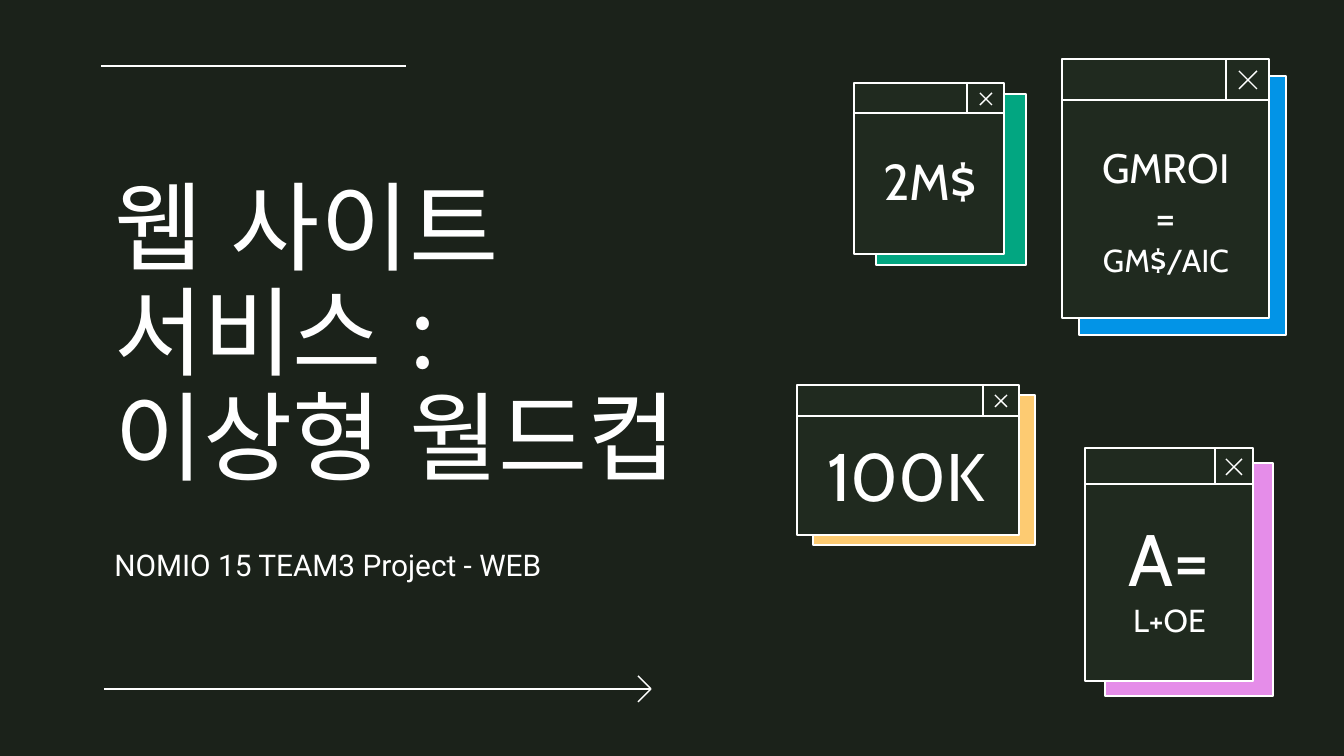
import lxml.etree
import pptx
import pptx.dml.color
import pptx.enum.lang
import pptx.enum.shapes
import pptx.enum.text
import pptx.oxml.ns
import pptx.util

PX = 914400 / 134.4  # EMU in one px
COLORS = {
    "background": "1B221A",
    "window": "202A1F",
    "white": "FFFFFF",
    "green": "02A681",
    "blue": "0294E7",
    "pink": "E58DE9",
    "yellow": "FDCB72",
}
qn = pptx.oxml.ns.qn
PP_ALIGN = pptx.enum.text.PP_ALIGN


def px(n):
    return pptx.util.Emu(round(n * PX))


def rgb(name):
    return pptx.dml.color.RGBColor.from_string(COLORS[name])


def add_line(s, x1, y1, x2, y2):
    line = s.shapes.add_connector(
        pptx.enum.shapes.MSO_CONNECTOR.STRAIGHT, px(x1), px(y1), px(x2), px(y2))
    line.line.color.rgb = rgb("white")
    line.line.width = pptx.util.Pt(0.75)
    lxml.etree.SubElement(line._element.spPr, qn("a:effectLst"))


def add_rect(s, x, y, w, h, color):
    sp = s.shapes.add_shape(
        pptx.enum.shapes.MSO_SHAPE.RECTANGLE, px(x), px(y), px(w), px(h))
    sp.shadow.inherit = False
    sp.fill.solid()
    sp.fill.fore_color.rgb = rgb(color)
    sp.line.color.rgb = rgb("white")
    sp.line.width = pptx.util.Pt(0.75)


def style_run(r, size, font):
    r.font.size = pptx.util.Pt(size)
    r.font.name = font
    r.font.color.rgb = rgb("white")


def setup_frame(tf):
    tf.word_wrap = True
    tf.auto_size = pptx.enum.text.MSO_AUTO_SIZE.NONE
    tf.vertical_anchor = pptx.enum.text.MSO_ANCHOR.MIDDLE
    tf.margin_left = tf.margin_right = pptx.util.Inches(0.1)
    tf.margin_top = tf.margin_bottom = pptx.util.Inches(0.1)


def fill_placeholder(sp, box, text, size, font, spacing):
    sp.left, sp.top, sp.width, sp.height = map(px, box)
    tf = sp.text_frame
    setup_frame(tf)
    p = tf.paragraphs[0]
    p.text = text
    p.alignment = PP_ALIGN.LEFT
    p.space_before = pptx.util.Pt(0)
    p.line_spacing = spacing
    for r in p.runs:
        style_run(r, size, font)


def add_heading(s, x, y):
    # Top rule, title and subtitle
    add_line(s, x, y, x + 305, y)
    title = s.shapes.title
    fill_placeholder(title, (x, y + 95, 761, 352), "웹 사이트 서비스 :\v이상형 월드컵",
                     52, "Noto Sans CJK KR", 0.9)
    # The wide right inset wraps the first line clear of the windows
    title.text_frame.margin_right = px(94)
    for r in title.text_frame.paragraphs[0].runs:
        r.font.language_id = pptx.enum.lang.MSO_LANGUAGE_ID.KOREAN
        ea = lxml.etree.SubElement(r._r.get_or_add_rPr(), qn("a:ea"))
        ea.set("typeface", "Noto Sans CJK KR")
    fill_placeholder(s.placeholders[1], (x, y + 469, 641, 60),
                     "NOMIO 15 TEAM3 Project - WEB", 16, "Roboto", 1.0)


def add_arrow(s, x, y, length, head):
    tip = x + length
    add_line(s, x, y, tip, y)
    for dy in (-head, head):
        add_line(s, tip, y, tip - head, y + dy)


def add_window(s, box, offset, color, bar, button, cross, label, lines):
    x, y, w, h = box
    # Coloured back panel and window
    add_rect(s, x + offset[0], y + offset[1], w, h, color)
    add_rect(s, x, y, w, h, "window")
    # Title bar and close button
    add_line(s, x, y + bar, x + w, y + bar)
    add_line(s, x + w - button, y, x + w - button, y + bar)
    cx, cy = x + w - button // 2, y + bar // 2 + 1
    for d in (-cross, cross):
        add_line(s, cx - cross, cy - d, cx + cross, cy + d)
    # Label
    dx, dy, lw, lh = label
    tf = s.shapes.add_textbox(px(x + dx), px(y + dy), px(lw), px(lh)).text_frame
    setup_frame(tf)
    for i, line in enumerate(lines):
        p = tf.add_paragraph() if i else tf.paragraphs[0]
        p.alignment = PP_ALIGN.CENTER
        for text, size in line:
            r = p.add_run()
            r.text = text
            style_run(r, size, "Cabin")


# box, panel offset, colour, bar height, button width, cross half-size, label box, lines of runs
WINDOWS = [
    ((854, 83, 150, 171), (22, 11), "green", 30, 37, 6, (5, 39, 142, 116),
     [[("2M$", 27)]]),
    ((1062, 59, 207, 259), (17, 17), "blue", 41, 43, 9, (20, 62, 168, 179),
     [[("GMROI=", 22), (" GM$/AIC", 17)]]),
    ((1085, 448, 168, 233), (20, 15), "pink", 36, 38, 8, (18, 39, 133, 179),
     [[("A=", 39)], [("L+OE", 17)]]),
    ((797, 385, 222, 150), (16, 10), "yellow", 31, 36, 6, (8, 32, 203, 116),
     [[("100K", 36)]]),
]


def main():
    prs = pptx.Presentation()
    prs.slide_width, prs.slide_height = px(1344), px(756)
    s = prs.slides.add_slide(prs.slide_layouts[0])
    s.background.fill.solid()
    s.background.fill.fore_color.rgb = rgb("background")
    add_heading(s, 101, 66)
    add_arrow(s, 104, 689, 547, 13)
    for window in WINDOWS:
        add_window(s, *window)
    prs.save("out.pptx")


if __name__ == "__main__":
    main()
